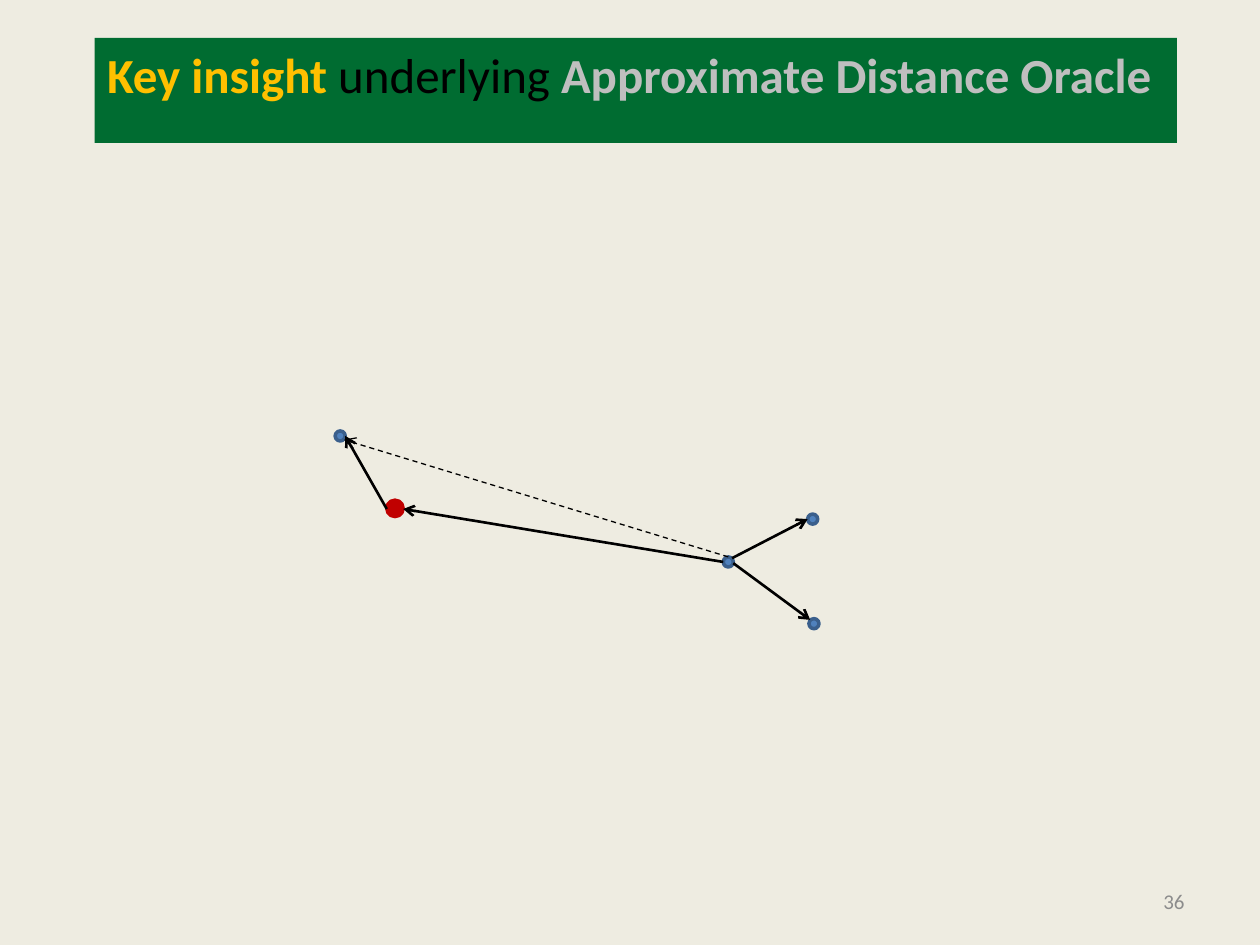
import pptx
import pptx.util
import pptx.dml.color
import pptx.enum.dml
import pptx.enum.shapes
import pptx.enum.text
import pptx.oxml

COLUMNS, ROWS = 100, 75
SLIDE_WIDTH = pptx.util.Inches(10)
SLIDE_HEIGHT = pptx.util.Inches(7.5)
FONT = "Calibri"
COLORS = {
    "background": "EEECE1",
    "banner": "006C31",
    "gold": "FFC000",
    "silver": "BFBFBF",
    "black": "000000",
    "number": "8C8C8C",
    "vertex": "4F81BD",
    "vertex_line": "3A5F8C",
    "landmark": "C00000",
}


def color(name):
    return pptx.dml.color.RGBColor.from_string(COLORS[name])


def across(columns):
    return round(columns * SLIDE_WIDTH / COLUMNS)


def down(rows):
    return round(rows * SLIDE_HEIGHT / ROWS)


def box(left, top, width, height):
    return across(left), down(top), across(width), down(height)


def add_run(paragraph, text, size, color_name, bold=False):
    run = paragraph.add_run()
    run.text = text
    run.font.name = FONT
    run.font.size = pptx.util.Pt(size)
    run.font.bold = bold
    run.font.color.rgb = color(color_name)


def fill_title(slide):
    title = slide.shapes.title
    title.left, title.top, title.width, title.height = box(7.5, 3, 85.9, 5.7)
    title.fill.solid()
    title.fill.fore_color.rgb = color("banner")
    frame = title.text_frame
    frame.word_wrap = False
    frame.auto_size = pptx.enum.text.MSO_AUTO_SIZE.SHAPE_TO_FIT_TEXT
    frame.vertical_anchor = pptx.enum.text.MSO_ANCHOR.TOP
    paragraph = frame.paragraphs[0]
    paragraph.alignment = pptx.enum.text.PP_ALIGN.LEFT
    add_run(paragraph, "Key insight ", 28, "gold", True)
    add_run(paragraph, "underlying ", 28, "black")
    add_run(paragraph, "Approximate Distance Oracle", 28, "silver", True)


def add_slide_number(slide, text):
    shape = slide.shapes.add_textbox(*box(71.7, 69.5, 23.3, 4))
    frame = shape.text_frame
    frame.word_wrap = True
    frame.vertical_anchor = pptx.enum.text.MSO_ANCHOR.MIDDLE
    paragraph = frame.paragraphs[0]
    paragraph.alignment = pptx.enum.text.PP_ALIGN.RIGHT
    add_run(paragraph, text, 12, "number")


def add_vertex(slide, left, top, size=0.8, fill="vertex", line="vertex_line"):
    shape = slide.shapes.add_shape(
        pptx.enum.shapes.MSO_SHAPE.OVAL, *box(left, top, size, size))
    shape.shadow.inherit = False
    shape.fill.solid()
    shape.fill.fore_color.rgb = color(fill)
    shape.line.color.rgb = color(line)
    shape.line.width = pptx.util.Pt(2)


def add_arrow(slide, start, end, width=1.5, dashed=False):
    connector = slide.shapes.add_connector(
        pptx.enum.shapes.MSO_CONNECTOR.STRAIGHT,
        across(start[0]), down(start[1]), across(end[0]), down(end[1]))
    connector.line.color.rgb = color("black")
    connector.line.width = pptx.util.Pt(width)
    if dashed:
        connector.line.dash_style = pptx.enum.dml.MSO_LINE.DASH
    properties = connector._element.spPr
    namespace = pptx.oxml.ns.nsdecls("a")
    properties.find(pptx.oxml.ns.qn("a:ln")).append(
        pptx.oxml.parse_xml(f'<a:tailEnd {namespace} type="arrow"/>'))
    properties.append(pptx.oxml.parse_xml(f"<a:effectLst {namespace}/>"))


def main():
    presentation = pptx.Presentation()
    presentation.slide_width = SLIDE_WIDTH
    presentation.slide_height = SLIDE_HEIGHT
    slide = presentation.slides.add_slide(presentation.slide_layouts[5])
    slide.background.fill.solid()
    slide.background.fill.fore_color.rgb = color("background")

    fill_title(slide)
    add_slide_number(slide, "36")

    for left, top in [(57.4, 44.2), (64.1, 40.8), (26.6, 34.2), (64.2, 49.1)]:
        add_vertex(slide, left, top)
    add_vertex(slide, 30.7, 39.7, 1.3, "landmark", "landmark")

    for start, end in [
        ((58.1, 44.3), (64.1, 41.2)),
        ((57.4, 44.6), (32, 40.4)),
        ((30.7, 40.4), (27.4, 34.6)),
        ((58.2, 44.7), (64.3, 49.2)),
    ]:
        add_arrow(slide, start, end)
    add_arrow(slide, (57.8, 44.2), (27.3, 34.9), 0.75, dashed=True)

    presentation.save("out.pptx")


if __name__ == "__main__":
    main()
